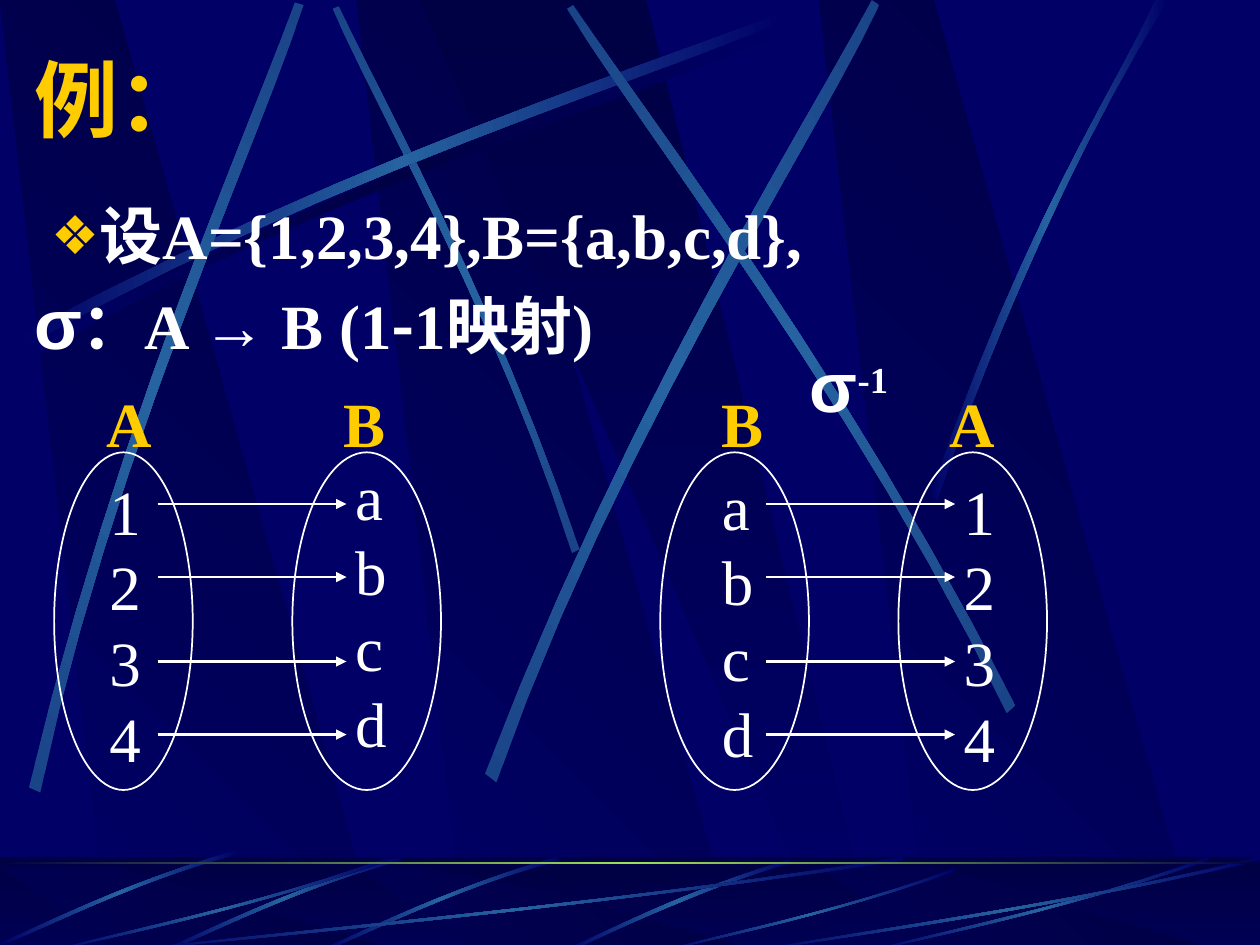
from dataclasses import dataclass

from lxml.etree import SubElement
from pptx import Presentation
from pptx.dml.color import RGBColor
from pptx.enum.shapes import MSO_CONNECTOR, MSO_SHAPE
from pptx.enum.text import MSO_ANCHOR, MSO_AUTO_SIZE, PP_ALIGN
from pptx.oxml import parse_xml
from pptx.oxml.ns import nsdecls, qn
from pptx.util import Inches, Pt


@dataclass(frozen=True)
class Theme:
    navy: str = "000066"
    midnight: str = "000044"
    streak: str = "2663A0"
    streak_end: str = "1A4488"
    lime: str = "9CE157"
    gold: RGBColor = RGBColor(0xFF, 0xCC, 0x00)
    white: RGBColor = RGBColor(0xFF, 0xFF, 0xFF)
    serif: str = "Times New Roman"
    sans: str = "Arial"
    chinese: str = "Noto Sans CJK SC"
    heading: str = "Montserrat"
    title_size: Pt = Pt(48)
    sigma_size: Pt = Pt(40)
    text_size: Pt = Pt(36)


theme = Theme()
presentation = Presentation()
presentation.slide_width = Inches(10)
presentation.slide_height = Inches(7.5)
slide = presentation.slides.add_slide(presentation.slide_layouts[1])
slide.background.fill.solid()
slide.background.fill.fore_color.rgb = RGBColor.from_string(theme.navy)
shapes = slide.shapes


def paint_gradient(shape, colors, angle):
    shape.shadow.inherit = False
    shape.line.fill.background()
    shape.fill.gradient()
    stops = "".join(
        f'<a:gs pos="{100000 * index // (len(colors) - 1)}"><a:srgbClr val="{color}"/></a:gs>'
        for index, color in enumerate(colors)
    )
    old_fill = shape.element.spPr.find(qn("a:gradFill"))
    old_fill.getparent().replace(old_fill, parse_xml(
        f'<a:gradFill {nsdecls("a")} rotWithShape="1"><a:gsLst>{stops}</a:gsLst>'
        f'<a:lin ang="{angle * 60000}" scaled="0"/></a:gradFill>'
    ))


def draw_outline(points, colors, angle, curved=True):
    if curved:
        steps = [step / 12 for step in range(13)]
        points = [
            tuple((1 - t) ** 3 * a + 3 * (1 - t) ** 2 * t * b + 3 * (1 - t) * t * t * c + t ** 3 * d
                  for a, b, c, d in zip(*curve))
            for curve in (points[:4], points[4:])
            for t in steps
        ]
    corners = [(Inches(x), Inches(y)) for x, y in points]
    builder = shapes.build_freeform(*corners[0])
    builder.add_line_segments(corners[1:], close=True)
    paint_gradient(builder.convert_to_shape(), colors, angle)


fade = (theme.navy, theme.streak, theme.navy)
shade = (theme.navy, theme.midnight, theme.navy)
glow = (theme.streak_end, theme.streak, theme.streak_end)

for top, bottom in ((0, 7.5), (6.88, 7.5)):
    if top:
        band = shapes.add_shape(MSO_SHAPE.RECTANGLE, 0, Inches(6.8), Inches(10), Inches(0.7))
        paint_gradient(band, (theme.midnight, theme.navy), 90)
    for left in (2.83, 0, 6.5):
        beam = [(left + 0.86, bottom), (left + 3.02, bottom), (left + 0.91, top), (left, top)]
        draw_outline(beam, (theme.navy, theme.midnight), 315, curved=False)
    wedge = [(3.33, top), (6.58, bottom), (6.94, bottom), (5.13, top)]
    draw_outline(wedge, (theme.midnight, theme.navy), 90, curved=False)
    if top:
        continue

    long_streak = [(0.14, 2.67), (2.78, 1.25), (5.18, 0.51), (6.2, 0.1),
                   (6.23, 0.16), (5.22, 0.61), (2.48, 1.43), (0.17, 2.77)]
    draw_outline([(x + 0.06, y + 0.08) for x, y in long_streak], shade, 0)
    for points, colors, angle in (
        ([(4.6, 4.36), (3.91, 2.34), (3.02, 0.77), (2.69, 0.05),
          (2.64, 0.07), (2.95, 0.79), (3.98, 2.58), (4.54, 4.39)], glow, 45),
        (long_streak, fade, 0),
        ([(0.23, 6.25), (0.93, 3.34), (1.97, 1.05), (2.34, 0.02),
          (2.41, 0.04), (2.07, 1.09), (0.86, 3.68), (0.32, 6.29)], glow, 312),
        ([(3.85, 6.14), (4.98, 3.2), (6.38, 1.02), (6.92, 0),
          (6.98, 0.04), (6.49, 1.08), (4.86, 3.55), (3.94, 6.21)], glow, 322),
        ([(8.06, 5.6), (6.7, 2.93), (5.16, 0.95), (4.55, 0.04),
          (4.5, 0.07), (5.07, 1.01), (6.85, 3.25), (7.99, 5.66)], glow, 35),
        ([(7.38, 3.94), (8.14, 1.73), (8.88, 0.66), (9.17, 0),
          (9.27, 0), (8.36, 1.45), (7.69, 3.22), (7.44, 3.97)], fade, 0),
    ):
        draw_outline(points, colors, angle)

veil = shapes.add_shape(MSO_SHAPE.RECTANGLE, 0, Inches(6.8), Inches(10), Inches(0.7))
veil.shadow.inherit = False
veil.line.fill.background()
veil.fill.solid()
veil.fill.fore_color.rgb = RGBColor.from_string(theme.midnight)
veil_color = veil.element.spPr.find(qn("a:solidFill"))[0]
SubElement(veil_color, qn("a:alpha"), val="50000")

draw_outline([(6.27, 6.82), (5.37, 7.09), (4.77, 7.42), (4.48, 7.54),
              (4.53, 7.55), (4.9, 7.37), (5.71, 7), (6.28, 6.85)], fade, 0)
short_streak = [(3.17, 6.8), (2.3, 7.05), (1.62, 7.4), (1.31, 7.53),
                (1.32, 7.55), (1.63, 7.43), (2.4, 7.03), (3.19, 6.83)]
for shift_x, shift_y in ((1.25, 0), (0, 0), (-1.3, -0.05)):
    draw_outline([(x + shift_x, y + shift_y) for x, y in short_streak], fade, 0)
unit_streak = [(1, 0.04), (0.57, 0.57), (0.17, 0.85), (0, 1),
               (0, 0.99), (0.17, 0.81), (0.62, 0.51), (1, 0)]
for left, top, width in ((1, 6.8, 6.17), (0.42, 6.8, 2.67), (5.27, 6.89, 2.31),
                         (6.92, 6.8, 2.67), (6, 6.8, 4)):
    draw_outline([(left + x * width, top + y * (7.55 - top)) for x, y in unit_streak], fade, 0)
horizon = shapes.add_shape(MSO_SHAPE.RECTANGLE, 0, Inches(6.84), Inches(10), Inches(0.02))
paint_gradient(horizon, (theme.midnight, theme.lime, theme.midnight), 0)

title, body = shapes.title, slide.placeholders[1]
for placeholder, top, width, height, anchor in (
    (body, 1.58, 9.67, 1.5, MSO_ANCHOR.TOP),
    (title, 0.33, 8.5, 0.9, MSO_ANCHOR.MIDDLE),
):
    shapes.element.append(placeholder.element)
    placeholder.left, placeholder.top = Inches(0.17), Inches(top)
    placeholder.width, placeholder.height = Inches(width), Inches(height)
    placeholder.text_frame.auto_size = MSO_AUTO_SIZE.NONE
    placeholder.text_frame.vertical_anchor = anchor

title.text_frame.text = "例："
heading = title.text_frame.paragraphs[0]
heading.alignment = PP_ALIGN.LEFT
heading.font.name = theme.heading
heading.font.size = theme.title_size
heading.font.bold = True
heading.font.color.rgb = theme.gold

body.text_frame.text = "设A={1,2,3,4},B={a,b,c,d},"
sets = body.text_frame.paragraphs[0]
mapping = body.text_frame.add_paragraph()
sets_properties = sets._p.get_or_add_pPr()
sets_properties.set("marL", str(Inches(0.51)))
sets_properties.set("indent", str(Inches(-0.37)))
bullet_color = SubElement(sets_properties, qn("a:buClr"))
SubElement(bullet_color, qn("a:srgbClr"), val=str(theme.gold))
SubElement(sets_properties, qn("a:buSzPct"), val="85000")
SubElement(sets_properties, qn("a:buChar"), char="❖")
mapping_properties = mapping._p.get_or_add_pPr()
mapping_properties.set("marL", "0")
mapping_properties.set("indent", "0")
SubElement(mapping_properties, qn("a:buNone"))
for paragraph, space in ((sets, 0), (mapping, 9)):
    paragraph.alignment = PP_ALIGN.JUSTIFY
    paragraph.line_spacing = 0.9
    paragraph.space_before = Pt(space)
    paragraph.font.name = theme.serif
    paragraph.font.size = theme.text_size
    paragraph.font.bold = True
    paragraph.font.color.rgb = theme.white
for text, font_name in (("σ", theme.sans), ("：A ", theme.serif), ("→", theme.sans),
                        (" B (1", theme.serif), ("-", theme.chinese), ("1", theme.serif),
                        ("映射", theme.chinese), (")", theme.serif)):
    run = mapping.add_run()
    run.text = text
    run.font.name = font_name
    run.font.size = theme.sigma_size if text == "σ" else theme.text_size

for left, top, width, height, lines, is_label in (
    (0.77, 3.7, 0.45, 2.5, "1234", False), (2.72, 3.58, 0.45, 2.5, "abcd", False),
    (7.55, 3.7, 0.45, 2.5, "1234", False), (5.63, 3.66, 0.45, 2.5, "abcd", False),
    (0.75, 3, 0.56, 0.7, "A", True), (2.63, 3, 0.53, 0.7, "B", True),
    (7.44, 3, 0.56, 0.7, "A", True), (5.63, 3, 0.53, 0.7, "B", True),
):
    box = shapes.add_textbox(Inches(left), Inches(top), Inches(width), Inches(height))
    box.text_frame.word_wrap = False
    box.text_frame.text = "\n".join(lines)
    for paragraph in box.text_frame.paragraphs:
        paragraph.font.name = theme.serif
        paragraph.font.size = theme.text_size
        paragraph.font.bold = is_label
        paragraph.font.color.rgb = theme.gold if is_label else theme.white

for left in (1.25, 6.08):
    for height in (4, 4.58, 5.25, 5.83):
        arrow = shapes.add_connector(MSO_CONNECTOR.STRAIGHT, Inches(left), Inches(height),
                                     Inches(left + 1.5), Inches(height))
        arrow.line.color.rgb = theme.white
        arrow.line.width = Pt(1.5)
        SubElement(arrow.line._get_or_add_ln(), qn("a:tailEnd"), type="triangle")
        SubElement(arrow.element.spPr, qn("a:effectLst"))

inverse = shapes.add_textbox(Inches(6.33), Inches(2.67), Inches(1.5), Inches(0.77))
inverse.text_frame.word_wrap = True
paragraph = inverse.text_frame.paragraphs[0]
paragraph.font.bold = True
paragraph.font.color.rgb = theme.white
for text, font_name, size in (("σ", theme.sans, theme.sigma_size), ("-1", theme.serif, theme.text_size)):
    run = paragraph.add_run()
    run.text = text
    run.font.name = font_name
    run.font.size = size
run.font._element.set("baseline", "30000")

for left, width in ((0.43, 1.1), (2.32, 1.18), (5.24, 1.18), (7.13, 1.18)):
    oval = shapes.add_shape(MSO_SHAPE.OVAL, Inches(left), Inches(3.59), Inches(width), Inches(2.68))
    oval.shadow.inherit = False
    oval.fill.background()
    oval.line.color.rgb = theme.white
    oval.line.width = Pt(1)

presentation.save("out.pptx")
